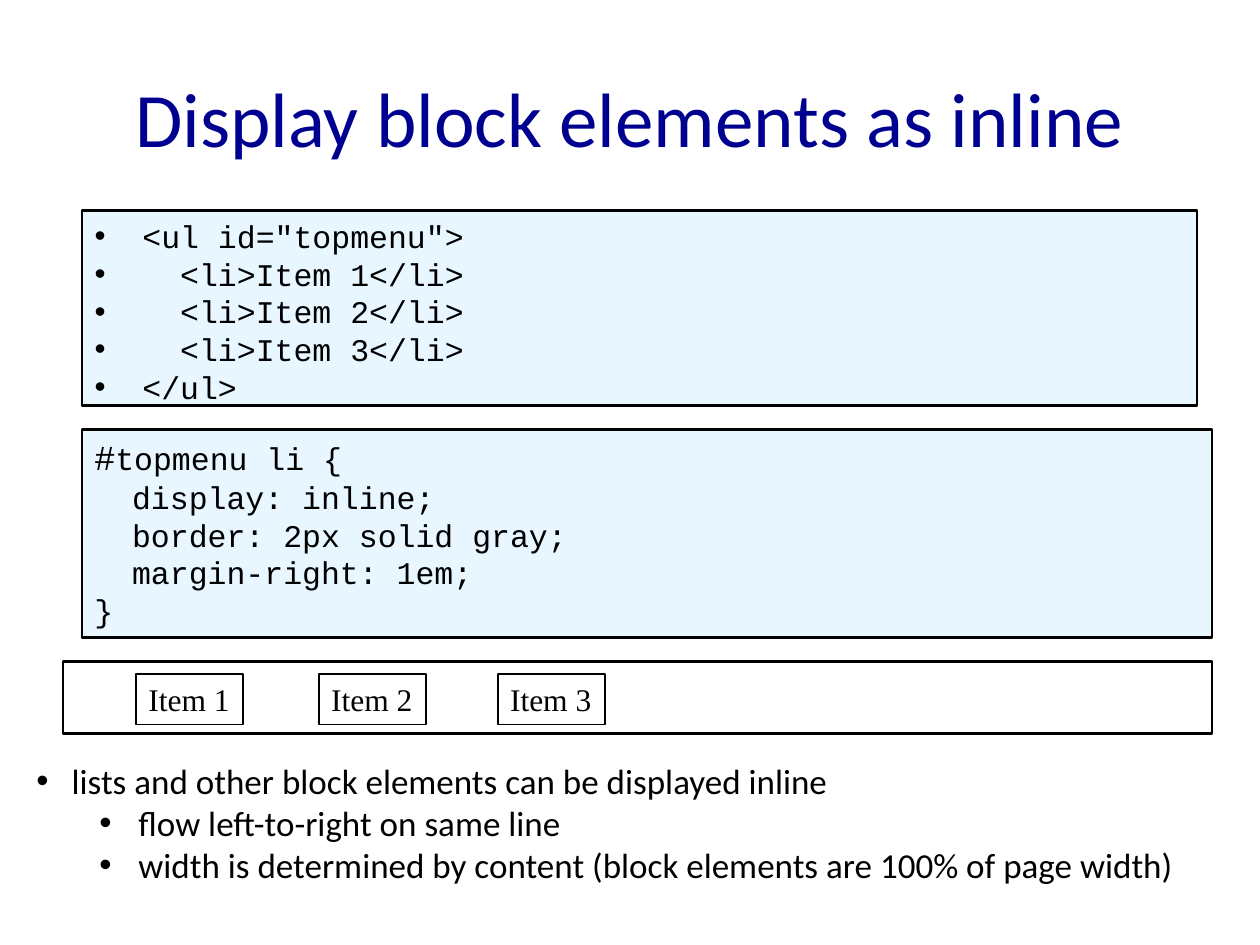
from lxml import etree
from pptx import Presentation
from pptx.dml.color import RGBColor
from pptx.enum.shapes import MSO_SHAPE as Shape
from pptx.enum.text import MSO_ANCHOR as Anchor, MSO_AUTO_SIZE as AutoSize, PP_ALIGN as Align
from pptx.oxml.ns import qn
from pptx.util import Inches, Pt

NAVY = RGBColor(0x00, 0x00, 0x90)
BLACK = RGBColor(0x00, 0x00, 0x00)
PALE_BLUE = RGBColor(0xE7, 0xF6, 0xFF)

TITLE = {"name": "Calibri", "size": Pt(44), "color": NAVY}
CODE = {"name": "Courier New", "size": Pt(18), "color": BLACK}
NOTE = {"name": "Calibri", "size": Pt(20), "color": BLACK}
ITEM = {"name": "Times New Roman", "size": Pt(18), "color": BLACK}
PARAGRAPH = {"alignment": Align.LEFT, "line_spacing": 1.0, "space_before": Pt(0)}
FRAME = {"word_wrap": True, "auto_size": AutoSize.NONE, "vertical_anchor": Anchor.TOP}

HTML_LINES = [
    '<ul id="topmenu">',
    "  <li>Item 1</li>",
    "  <li>Item 2</li>",
    "  <li>Item 3</li>",
    "</ul>",
]
CSS_LINES = [
    "#topmenu li {",
    "  display: inline;",
    "  border: 2px solid gray;",
    "  margin-right: 1em;",
    "}",
]
# Text, level, left margin and hanging width of each note
NOTES = [
    ("lists and other block elements can be displayed inline", 0, 0.28, 0.28),
    ("flow left-to-right on same line", 1, 0.81, 0.31),
    ("width is determined by content (block elements are 100% of page width)", 1, 0.81, 0.31),
]


def set_values(target, values):
    for name, value in values.items():
        setattr(target, name, value)


def place(shape, left, top, width, height):
    set_values(shape, {"left": Inches(left), "top": Inches(top),
                       "width": Inches(width), "height": Inches(height)})


def style_font(font, values):
    for name, value in values.items():
        if name == "color":
            font.color.rgb = value
        else:
            setattr(font, name, value)


def style_box(shape, line_width, fill=None):
    if fill is None:
        shape.fill.background()
    else:
        shape.fill.solid()
        shape.fill.fore_color.rgb = fill
    shape.line.color.rgb = BLACK
    shape.line.width = Pt(line_width)


def set_bullet(paragraph, margin, hanging):
    properties = paragraph._p.get_or_add_pPr()
    properties.set("marL", str(Inches(margin)))
    properties.set("indent", str(-Inches(hanging)))
    etree.SubElement(properties, qn("a:buFont")).set("typeface", "Arial")
    etree.SubElement(properties, qn("a:buChar")).set("char", "•")


def write_lines(frame, lines, font):
    """Write one paragraph for each line and return the paragraphs."""
    set_values(frame, FRAME)
    for index, line in enumerate(lines):
        paragraph = frame.add_paragraph() if index else frame.paragraphs[0]
        set_values(paragraph, PARAGRAPH)
        run = paragraph.add_run()
        run.text = line
        style_font(run.font, font)
    return frame.paragraphs


def add_box(slide, left, top, width, height, line_width, fill=None):
    box = slide.shapes.add_shape(Shape.RECTANGLE, Inches(left), Inches(top),
                                 Inches(width), Inches(height))
    box.shadow.inherit = False
    style_box(box, line_width, fill)
    return box


def fill_title(slide):
    title = slide.shapes.title
    place(title, 0.5, 0.3, 9, 1.25)
    title.text_frame.text = "Display block elements as inline"
    title.text_frame.vertical_anchor = Anchor.MIDDLE
    paragraph = title.text_frame.paragraphs[0]
    paragraph.alignment = Align.CENTER
    style_font(paragraph.runs[0].font, TITLE)


def fill_html_code(slide):
    body = slide.placeholders[1]
    place(body, 0.65, 1.67, 8.85, 1.55)
    style_box(body, 1.5, PALE_BLUE)
    for paragraph in write_lines(body.text_frame, HTML_LINES, CODE):
        set_bullet(paragraph, 0.38, 0.38)


def add_css_code(slide):
    box = add_box(slide, 0.65, 3.41, 8.97, 1.65, 1.5, PALE_BLUE)
    paragraphs = write_lines(box.text_frame, CSS_LINES, CODE)
    # The selector sign is slightly larger than the rest of its line
    first_run = paragraphs[0].runs[0]
    sign, rest = first_run.text[0], first_run.text[1:]
    first_run.text = sign
    first_run.font.size = Pt(20)
    rest_run = paragraphs[0].add_run()
    rest_run.text = rest
    style_font(rest_run.font, CODE)


def add_notes(slide):
    box = slide.shapes.add_textbox(Inches(0.19), Inches(5.98), Inches(9.62), Inches(1.11))
    paragraphs = write_lines(box.text_frame, [note[0] for note in NOTES], NOTE)
    for paragraph, (_, level, margin, hanging) in zip(paragraphs, NOTES):
        paragraph.level = level
        set_bullet(paragraph, margin, hanging)


def add_inline_result(slide):
    add_box(slide, 0.5, 5.25, 9.12, 0.57, 1.5)
    for number, left in enumerate((1.08, 2.53, 3.95), start=1):
        item = add_box(slide, left, 5.35, 0.85, 0.4, 1)
        write_lines(item.text_frame, [f"Item {number}"], ITEM)
        item.text_frame.word_wrap = False


def main():
    presentation = Presentation()
    presentation.slide_width = Inches(10)
    presentation.slide_height = Inches(7.5)
    slide = presentation.slides.add_slide(presentation.slide_layouts[1])

    fill_title(slide)
    # Code listings
    fill_html_code(slide)
    add_css_code(slide)
    # Explanation and rendered result
    add_notes(slide)
    add_inline_result(slide)

    presentation.save("out.pptx")


if __name__ == "__main__":
    main()
